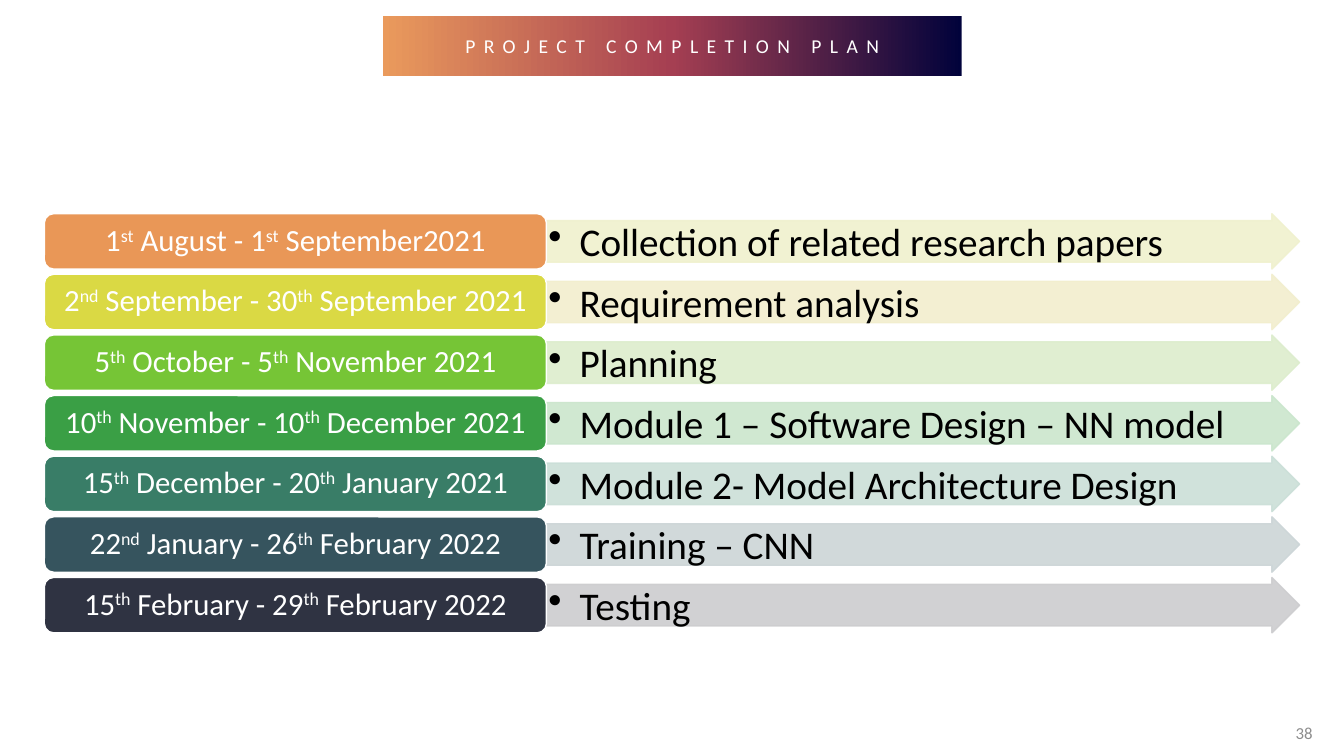
from dataclasses import dataclass
from copy import deepcopy

from lxml.etree import SubElement
from pptx import Presentation
from pptx.dml.color import RGBColor
from pptx.enum.shapes import MSO_SHAPE
from pptx.enum.text import MSO_ANCHOR, PP_ALIGN
from pptx.oxml.ns import qn
from pptx.shapes.autoshape import Shape
from pptx.slide import Slide
from pptx.text.text import _Paragraph as Paragraph
from pptx.util import Inches, Length, Pt

SLIDE_WIDTH = Inches(13.33)
SLIDE_HEIGHT = Inches(7.5)


@dataclass(frozen=True)
class Theme:
    font: str = "Calibri"
    title_size: int = 14
    date_size: int = 22
    task_size: int = 28
    number_size: int = 12
    light: str = "FFFFFF"
    dark: str = "000000"
    muted: str = "8C8C8C"
    banner: tuple[str, ...] = ("01023B", "A53F52", "EA9A5C")


@dataclass(frozen=True)
class Area:
    """A rectangle in percent of the slide's width and height."""
    left: float
    top: float
    width: float
    height: float

    def lengths(self) -> tuple[Length, ...]:
        sides = (SLIDE_WIDTH, SLIDE_HEIGHT) * 2
        shares = (self.left, self.top, self.width, self.height)
        return tuple(Length(round(side * share / 100)) for side, share in zip(sides, shares))


@dataclass(frozen=True)
class Phase:
    """One row of the plan; carets in the dates enclose superscripts."""
    dates: str
    task: str
    date_color: str
    task_color: str


THEME = Theme()
BANNER = Area(28.5, 2.13, 43.05, 7.87)
PAGE_NUMBER = Area(94.73, 94.27, 3.68, 5.33)
FIRST_ROW, ROW_STEP, ROW_HEIGHT = 28.27, 8.02, 7.33
DATE_LEFT, DATE_WIDTH = 3.3, 37.36
TASK_LEFT, TASK_WIDTH = 40.66, 56.04
BULLET_INDENT = Inches(0.31)

PHASES = (
    Phase("1^st^ August - 1^st^ September2021", "Collection of related research papers",
          "E99757", "F0F1CE"),
    Phase("2^nd^ September - 30^th^ September 2021", "Requirement analysis",
          "DAD944", "F2EECE"),
    Phase("5^th^ October - 5^th^ November 2021", "Planning", "76C536", "DDEDCD"),
    Phase("10^th^ November - 10^th^ December 2021", "Module 1 – Software Design – NN model",
          "3A9F45", "CBE6CD"),
    Phase("15^th^ December - 20^th^ January 2021", "Module 2- Model Architecture Design",
          "397D67", "CBDFD8"),
    Phase("22^nd^ January - 26^th^ February 2022", "Training – CNN", "36545E", "CCD5D7"),
    Phase("15^th^ February - 29^th^ February 2022", "Testing", "2F3342", "CDCDCF"),
)


def add_run(paragraph: Paragraph, text: str, size: int, color: str, **properties: str) -> None:
    """Add a run; properties are extra attributes such as baseline or spc."""
    run = paragraph.add_run()
    run.text = text
    run.font.name = THEME.font
    run.font.size = Pt(size)
    run.font.color.rgb = RGBColor.from_string(color)
    for name, value in properties.items():
        run.font._element.set(name, value)


def prepare_text(shape: Shape, alignment: PP_ALIGN, anchor: MSO_ANCHOR,
                 side: float = 0.1, edge: float = 0.05) -> Paragraph:
    """Set wrapping, anchor and margins, and return the first paragraph."""
    frame = shape.text_frame
    frame.word_wrap = True
    frame.vertical_anchor = anchor
    frame.margin_left = frame.margin_right = Inches(side)
    frame.margin_top = frame.margin_bottom = Inches(edge)
    paragraph = frame.paragraphs[0]
    paragraph.alignment = alignment
    return paragraph


def add_block(slide: Slide, kind: MSO_SHAPE, area: Area, fill: str, line: str) -> Shape:
    shape = slide.shapes.add_shape(kind, *area.lengths())
    shape.shadow.inherit = False
    shape.fill.solid()
    shape.fill.fore_color.rgb = RGBColor.from_string(fill)
    shape.line.color.rgb = RGBColor.from_string(line)
    shape.line.width = Pt(1)
    return shape


def add_banner(slide: Slide) -> None:
    shape = slide.shapes.add_shape(MSO_SHAPE.RECTANGLE, *BANNER.lengths())
    shape.shadow.inherit = False
    shape.line.fill.background()
    shape.fill.gradient()
    shape.fill.gradient_angle = 180
    stops = shape._element.spPr.find(".//" + qn("a:gsLst"))
    stops.insert(1, deepcopy(stops[0]))
    for index, (stop, color) in enumerate(zip(shape.fill.gradient_stops, THEME.banner)):
        stop.position = index / 2
        stop.color.rgb = RGBColor.from_string(color)
    paragraph = prepare_text(shape, PP_ALIGN.CENTER, MSO_ANCHOR.MIDDLE)
    add_run(paragraph, "PROJECT COMPLETION PLAN", THEME.title_size, THEME.light, spc="600")


def add_task(slide: Slide, phase: Phase, top: float) -> None:
    area = Area(TASK_LEFT, top, TASK_WIDTH, ROW_HEIGHT)
    arrow = add_block(slide, MSO_SHAPE.RIGHT_ARROW, area, phase.task_color, phase.task_color)
    arrow.adjustments[0] = 0.75
    arrow.adjustments[1] = 0.5
    for color in arrow._element.spPr.iter(qn("a:srgbClr")):
        SubElement(color, qn("a:alpha"), val="90000")
    paragraph = prepare_text(arrow, PP_ALIGN.LEFT, MSO_ANCHOR.TOP, 0.02, 0.02)
    paragraph.level = 1
    paragraph.line_spacing = 0.9
    properties = paragraph._p.get_or_add_pPr()
    properties.set("marL", str(BULLET_INDENT))
    properties.set("indent", str(-BULLET_INDENT))
    SubElement(properties, qn("a:buChar"), char="•")
    add_run(paragraph, phase.task, THEME.task_size, THEME.dark)


def add_dates(slide: Slide, phase: Phase, top: float) -> None:
    area = Area(DATE_LEFT, top, DATE_WIDTH, ROW_HEIGHT)
    label = add_block(slide, MSO_SHAPE.ROUNDED_RECTANGLE, area, phase.date_color, THEME.light)
    paragraph = prepare_text(label, PP_ALIGN.CENTER, MSO_ANCHOR.MIDDLE, 0.09)
    paragraph.line_spacing = 0.9
    for index, part in enumerate(phase.dates.split("^")):
        raised = {"baseline": "30000"} if index % 2 else {}
        add_run(paragraph, part, THEME.date_size, THEME.light, **raised)


def add_page_number(slide: Slide) -> None:
    box = slide.shapes.add_textbox(*PAGE_NUMBER.lengths())
    paragraph = prepare_text(box, PP_ALIGN.RIGHT, MSO_ANCHOR.MIDDLE)
    add_run(paragraph, "38", THEME.number_size, THEME.muted)


def main() -> None:
    presentation = Presentation()
    presentation.slide_width = SLIDE_WIDTH
    presentation.slide_height = SLIDE_HEIGHT
    slide = presentation.slides.add_slide(presentation.slide_layouts[6])
    add_banner(slide)
    for row, phase in enumerate(PHASES):
        top = FIRST_ROW + row * ROW_STEP
        add_task(slide, phase, top)
        add_dates(slide, phase, top)
    add_page_number(slide)
    presentation.save("out.pptx")


if __name__ == "__main__":
    main()
